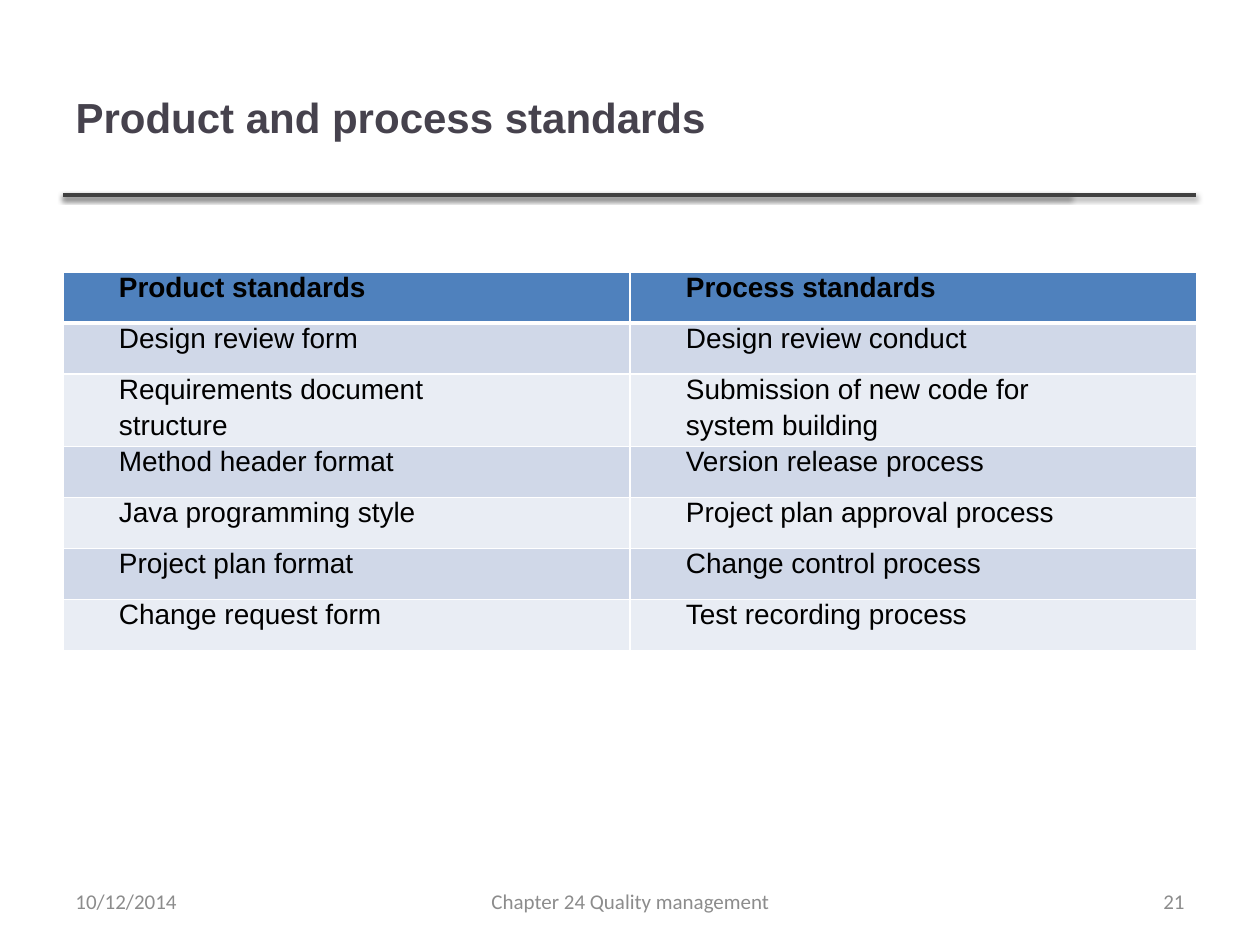
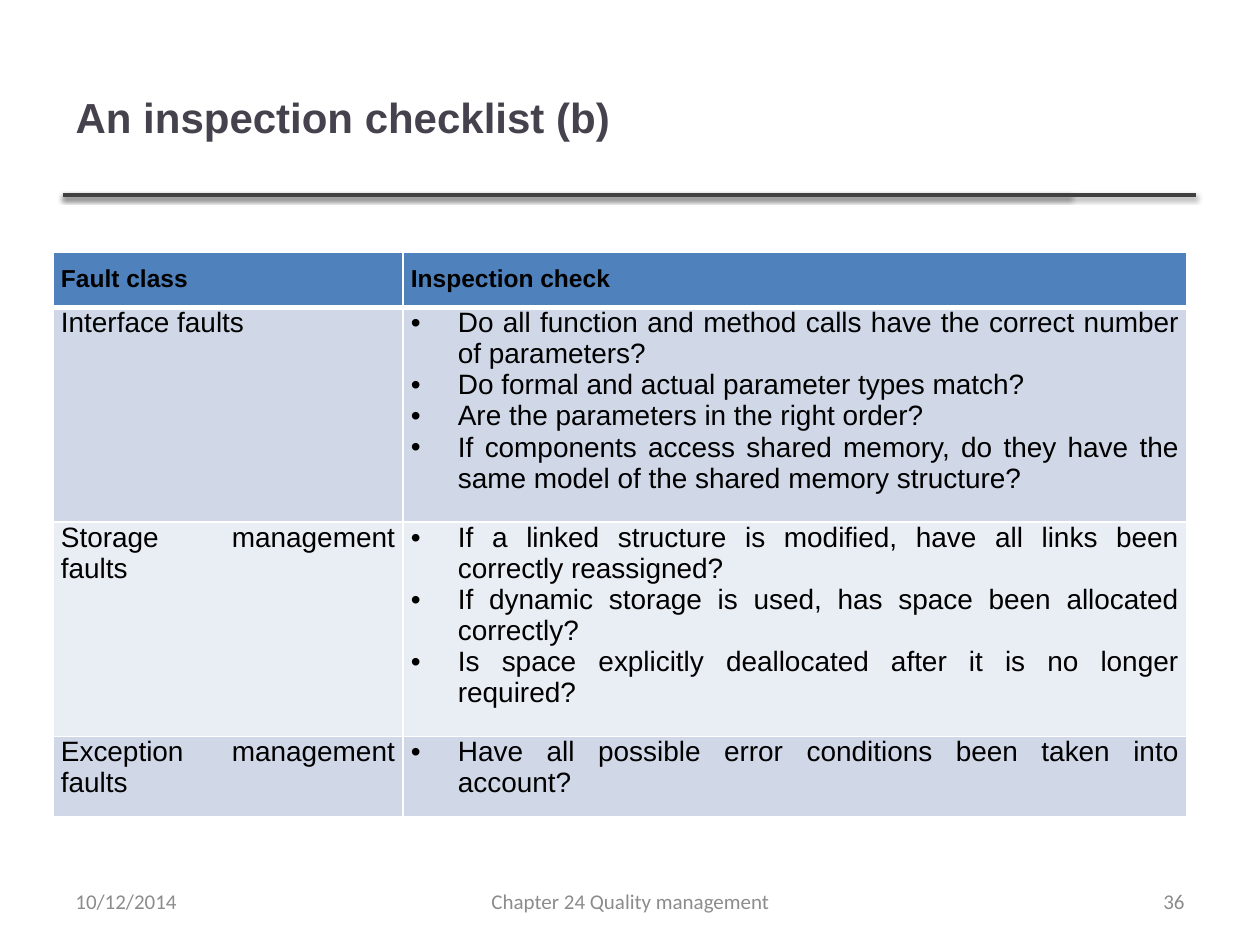
from dataclasses import dataclass

from lxml.etree import SubElement
from pptx import Presentation
from pptx.dml.color import RGBColor
from pptx.enum.shapes import MSO_CONNECTOR
from pptx.enum.text import MSO_ANCHOR, PP_ALIGN
from pptx.oxml.ns import qn
from pptx.util import Inches, Pt

PX_PER_INCH = 126


@dataclass(frozen=True)
class Theme:
    title: str = "46424D"
    text: str = "000000"
    footer: str = "8C8C8C"
    rule: str = "404040"
    border: str = "FFFFFF"
    head: str = "4F81BD"
    bands: tuple = ("D0D8E8", "E9EDF4")
    body_font: str = "Arial"
    footer_font: str = "Calibri"
    title_size: int = 24
    body_size: int = 16
    small_head_size: int = 14
    footer_size: int = 12


def px(n):
    return Inches(n / PX_PER_INCH)


def rgb(value):
    return RGBColor.from_string(value)


def write(tf, text, *, font, size, color, bold=False, align=PP_ALIGN.LEFT,
          before=0, after=0, margin=0, indent=0, bullet=None):
    for i, line in enumerate(text.split("\n")):
        p = tf.paragraphs[0] if i == 0 else tf.add_paragraph()
        p.alignment = align
        p.space_before, p.space_after = Pt(before), Pt(after)
        pPr = p._p.get_or_add_pPr()
        pPr.set("marL", str(px(margin)))
        pPr.set("indent", str(px(indent)))
        if bullet:
            SubElement(pPr, qn("a:buFont"), typeface=font)
            SubElement(pPr, qn("a:buChar"), char=bullet)
        r = p.add_run()
        r.text = line
        r.font.name, r.font.size, r.font.bold = font, Pt(size), bold
        r.font.color.rgb = rgb(color)


class Deck:
    def __init__(self, theme):
        self.theme = theme
        self.prs = Presentation()
        self.prs.slide_width, self.prs.slide_height = Inches(10), Inches(7.5)
        self.s = None

    def slide(self, title, number):
        self.s = self.prs.slides.add_slide(self.prs.slide_layouts.get_by_name("Title Only"))
        for end in (1070, 1196):
            self.rule(63, end, 195)
        self.title(title)
        self.footer("10/12/2014", 63, 294, PP_ALIGN.LEFT)
        self.footer("Chapter 24 Quality management", 431, 399, PP_ALIGN.CENTER)
        self.footer(str(number), 903, 294, PP_ALIGN.RIGHT)

    def title(self, text):
        t = self.theme
        sp = self.s.shapes.title
        sp.left, sp.top, sp.width, sp.height = map(px, (63, 38, 1005, 157))
        sp.text_frame.vertical_anchor = MSO_ANCHOR.MIDDLE
        write(sp.text_frame, text, font=t.body_font, size=t.title_size,
              color=t.title, bold=True)

    def rule(self, start, end, y):
        line = self.s.shapes.add_connector(
            MSO_CONNECTOR.STRAIGHT, px(start), px(y), px(end), px(y))
        line.line.color.rgb = rgb(self.theme.rule)
        line.line.width = Pt(2)
        effects = SubElement(line._element.spPr, qn("a:effectLst"))
        shadow = SubElement(effects, qn("a:outerShdw"), blurRad=str(Pt(3.1)),
                            dist=str(Pt(1.6)), dir="5400000", rotWithShape="0")
        color = SubElement(shadow, qn("a:srgbClr"), val="000000")
        SubElement(color, qn("a:alpha"), val="38000")

    def footer(self, text, left, width, align):
        t = self.theme
        sp = self.s.shapes.add_textbox(px(left), px(876), px(width), px(50))
        tf = sp.text_frame
        tf.word_wrap = True
        tf.vertical_anchor = MSO_ANCHOR.MIDDLE
        write(tf, text, font=t.footer_font, size=t.footer_size, color=t.footer, align=align)

    def table(self, left, top, widths, rows, head, columns):
        row_height = 51
        frame = self.s.shapes.add_table(len(rows), len(widths), px(left), px(top),
                                        px(sum(widths)), px(row_height * len(rows)))
        table = frame.table
        table.horz_banding = False
        for column, width in zip(table.columns, widths):
            column.width = px(width)
        for i, row in enumerate(rows):
            table.rows[i].height = px(row_height)
            for j, text in enumerate(row):
                style = columns[j] if i else head
                self.cell(table.cell(i, j), text, i, **style)

    def cell(self, cell, text, row, inset, **style):
        t = self.theme
        (cell.margin_left, cell.margin_top,
         cell.margin_right, cell.margin_bottom) = map(px, inset)
        for side in "LRTB":
            width = 3 if row == 0 and side == "B" else 1
            ln = SubElement(cell._tc.get_or_add_tcPr(), qn(f"a:ln{side}"), w=str(Pt(width)))
            fill = SubElement(ln, qn("a:solidFill"))
            SubElement(fill, qn("a:srgbClr"), val=t.border)
        cell.fill.solid()
        cell.fill.fore_color.rgb = rgb(t.bands[(row - 1) % 2] if row else t.head)
        write(cell.text_frame, text,
              **{"font": t.body_font, "size": t.body_size, "color": t.text, **style})


theme = Theme()
deck = Deck(theme)
justify = PP_ALIGN.JUSTIFY

deck.slide("Product and process standards", 21)
standard = dict(inset=(9, 0, 9, 0), indent=47, after=3)
deck.table(
    63, 272, (567, 567),
    [
        ("Product standards", "Process standards"),
        ("Design review form", "Design review conduct"),
        ("Requirements document\nstructure", "Submission of new code for\nsystem building"),
        ("Method header format", "Version release process"),
        ("Java programming style", "Project plan approval process"),
        ("Project plan format", "Change control process"),
        ("Change request form", "Test recording process"),
    ],
    head=dict(standard, align=justify, bold=True, before=3),
    columns=(standard, dict(standard, align=justify)),
)

deck.slide("An inspection checklist (b)", 36)
fault = dict(inset=(8, 0, 8, 13), align=justify)
deck.table(
    53, 252, (350, 784),
    [
        ("Fault class", "Inspection check"),
        ("Interface faults",
         "Do all function and method calls have the correct number of parameters?\n"
         "Do formal and actual parameter types match?\n"
         "Are the parameters in the right order?\n"
         "If components access shared memory, do they have the same model of the "
         "shared memory structure?"),
        ("Storage management faults",
         "If a linked structure is modified, have all links been correctly reassigned?\n"
         "If dynamic storage is used, has space been allocated correctly?\n"
         "Is space explicitly deallocated after it is no longer required?"),
        ("Exception management faults",
         "Have all possible error conditions been taken into account?"),
    ],
    head=dict(inset=(8, 13, 8, 13), align=justify, bold=True, size=theme.small_head_size),
    columns=(fault, dict(fault, margin=47, indent=-47, bullet="•")),
)

deck.prs.save("out.pptx")
